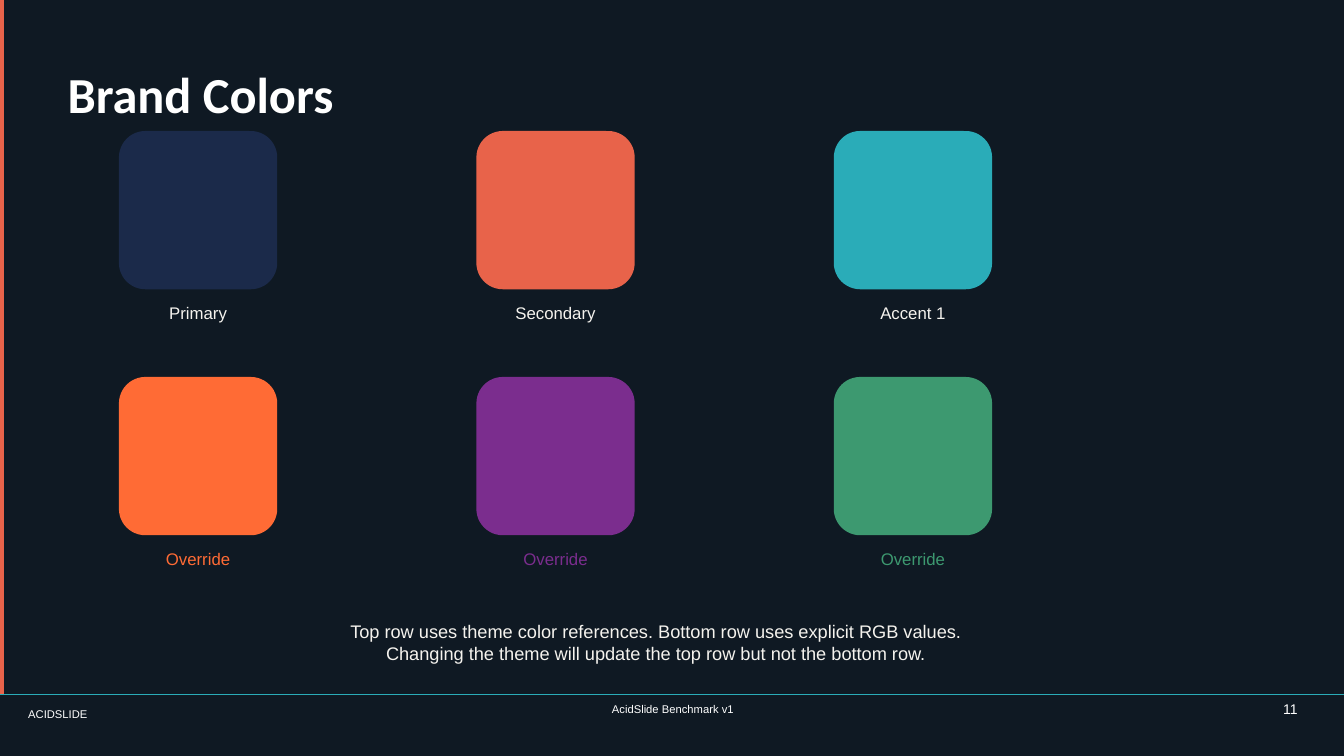
from lxml.etree import SubElement
from pptx import Presentation
from pptx.dml.color import RGBColor
from pptx.enum.shapes import MSO_CONNECTOR as Line, MSO_SHAPE as Shape
from pptx.enum.text import MSO_ANCHOR as Anchor, PP_ALIGN as Align
from pptx.oxml.ns import qn
from pptx.util import Inches, Pt

NIGHT = RGBColor(0x0F, 0x19, 0x23)
WHITE = RGBColor(0xFF, 0xFF, 0xFF)
CREAM = RGBColor(0xF5, 0xF3, 0xEE)
NAVY = RGBColor(0x1B, 0x2A, 0x4A)
CORAL = RGBColor(0xE8, 0x63, 0x4A)
TEAL = RGBColor(0x2A, 0xAC, 0xB8)
ORANGE = RGBColor(0xFF, 0x6B, 0x35)
PURPLE = RGBColor(0x7B, 0x2D, 0x8E)
GREEN = RGBColor(0x3D, 0x99, 0x70)

TITLE = "Brand Colors"
# Rows of swatches: label, fill, label colour
ROWS = [
    [("Primary", NAVY, CREAM), ("Secondary", CORAL, CREAM),
     ("Accent 1", TEAL, CREAM)],
    [("Override", ORANGE, ORANGE), ("Override", PURPLE, PURPLE),
     ("Override", GREEN, GREEN)],
]
NOTE = [
    "Top row uses theme color references. Bottom row uses explicit RGB values.",
    "Changing the theme will update the top row but not the bottom row.",
]
BRAND, FOOTER, NUMBER = "ACIDSLIDE", "AcidSlide Benchmark v1", "11"

WIDTH, HEIGHT = 13.33, 7.5
RULE_Y = 6.89
LEFT, TOP = 1.18, 1.3
STEP_X, STEP_Y = 3.545, 2.44
SIZE, LABEL_DY, LABEL_H = 1.57, 1.65, 0.31


def add_text(slide, lines, x, y, w, h, size=12, color=WHITE, font="Arial",
             bold=False, align=Align.LEFT, anchor=Anchor.MIDDLE):
    box = slide.shapes.add_textbox(Inches(x), Inches(y), Inches(w), Inches(h))
    frame = box.text_frame
    frame.word_wrap = True
    frame.vertical_anchor = anchor
    frame.margin_left = frame.margin_right = 0
    frame.margin_top = frame.margin_bottom = 0
    frame.text = "\n".join(lines)
    for para in frame.paragraphs:
        para.alignment = align
        para.font.size = Pt(size)
        para.font.name = font
        para.font.bold = bold
        para.font.color.rgb = color


def add_block(slide, kind, x, y, w, h, color):
    block = slide.shapes.add_shape(
        kind, Inches(x), Inches(y), Inches(w), Inches(h))
    block.shadow.inherit = False
    block.fill.solid()
    block.fill.fore_color.rgb = color
    block.line.fill.background()


def add_rule(slide, y, color):
    rule = slide.shapes.add_connector(
        Line.STRAIGHT, 0, Inches(y), Inches(WIDTH), Inches(y))
    rule.line.color.rgb = color
    rule.line.width = Pt(0.5)
    SubElement(rule._element.spPr, qn("a:effectLst"))


def main():
    deck = Presentation()
    deck.slide_width, deck.slide_height = Inches(WIDTH), Inches(HEIGHT)
    slide = deck.slides.add_slide(deck.slide_layouts[6])
    slide.background.fill.solid()
    slide.background.fill.fore_color.rgb = NIGHT

    add_block(slide, Shape.RECTANGLE, 0, 0, 0.04, RULE_Y, CORAL)
    add_rule(slide, RULE_Y, TEAL)
    add_text(slide, [BRAND], 0.28, 6.97, 1.97, 0.22, size=8)
    add_text(slide, [TITLE], 0.67, 0.3, 12, 1.25,
             size=36, font="Calibri", bold=True)

    for r, row in enumerate(ROWS):
        for c, (label, fill, ink) in enumerate(row):
            x, y = LEFT + c * STEP_X, TOP + r * STEP_Y
            add_block(slide, Shape.ROUNDED_RECTANGLE, x, y, SIZE, SIZE, fill)
            add_text(slide, [label], x, y + LABEL_DY, SIZE, LABEL_H,
                     color=ink, align=Align.CENTER)

    add_text(slide, NOTE, 0.79, 6.02, 11.42, 0.71,
             size=13, color=CREAM, align=Align.CENTER)
    add_text(slide, [FOOTER], 4.41, 6.97, 4.53, 0.2,
             size=8, align=Align.CENTER, anchor=Anchor.TOP)
    add_text(slide, [NUMBER], 12.4, 6.95, 0.47, 0.24,
             size=10, align=Align.RIGHT, anchor=Anchor.TOP)
    deck.save("out.pptx")


if __name__ == "__main__":
    main()
